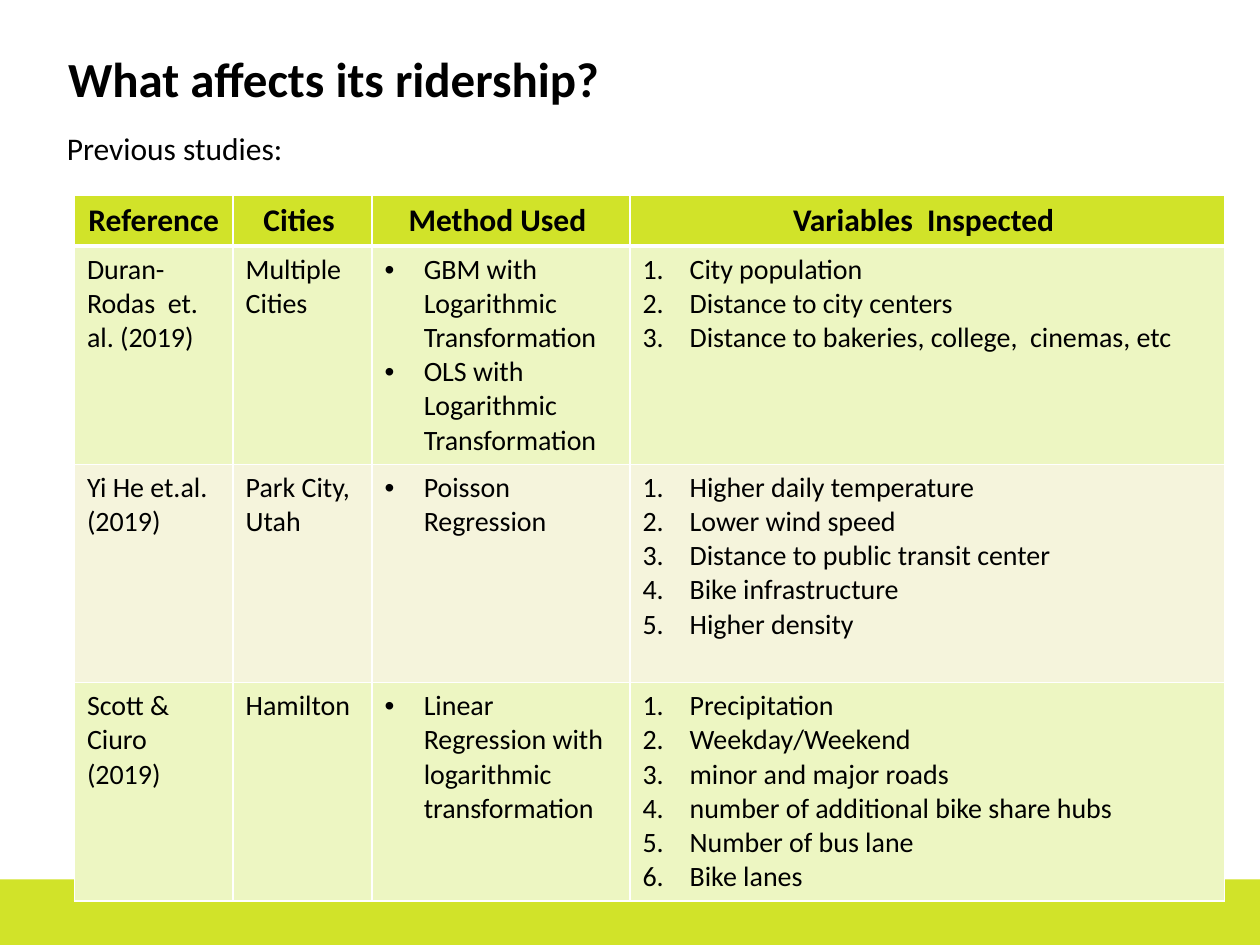
from dataclasses import dataclass

from pptx import Presentation
from pptx.dml.color import RGBColor
from pptx.enum.shapes import MSO_SHAPE as Shape
from pptx.enum.text import MSO_ANCHOR as Anchor, PP_ALIGN as Align
from pptx.oxml import parse_xml
from pptx.oxml.ns import nsdecls
from pptx.util import Cm, Pt


@dataclass(frozen=True)
class Theme:
    """Colours and type sizes of the slide."""
    font: str = "Calibri"
    text: str = "000000"
    accent: str = "D1E329"
    bands: tuple = ("EDF6C2", "F5F4DC")
    border: str = "FFFFFF"
    title_size: int = 28
    heading_size: int = 18
    body_size: int = 16


BULLET = ("Arial", '<a:buChar {} char="•"/>', 0.79)
NUMBER = ("+mj-lt", '<a:buAutoNum {} type="arabicPeriod"/>', 0.95)
COLUMN_WIDTHS = (3.2, 2.8, 5.2, 11.99)
HEADER_HEIGHT, BODY_HEIGHT = 1.0, 4.4
HEADINGS = ("Reference", "Cities ", "Method Used ", "Variables  Inspected ")
COLUMN_MARKERS = (None, None, BULLET, NUMBER)
STUDIES = (
    (["Duran-Rodas  et. al. (2019)"], ["Multiple Cities"],
     ["GBM with Logarithmic Transformation",
      "OLS with Logarithmic Transformation"],
     ["City population", "Distance to city centers",
      "Distance to bakeries, college,  cinemas, etc"]),
    (["Yi He et.al. (2019)"], ["Park City, Utah"], ["Poisson Regression"],
     ["Higher daily temperature", "Lower wind speed",
      "Distance to public transit center", "Bike infrastructure",
      "Higher density"]),
    (["Scott & Ciuro  (2019)"], ["Hamilton"],
     ["Linear Regression with logarithmic  transformation"],
     ["Precipitation", "Weekday/Weekend", "minor and major roads",
      "number of additional bike share hubs", "Number of bus lane",
      "Bike lanes"]),
)


def write(paragraph, text, *, theme, size, bold=False, align=Align.LEFT, marker=None):
    """Write formatted text into a paragraph, optionally as a list item."""
    paragraph.alignment = align
    run = paragraph.add_run()
    run.text = text
    run.font.name = theme.font
    run.font.size = Pt(size)
    run.font.bold = bold
    run.font.color.rgb = RGBColor.from_string(theme.text)
    if marker:
        typeface, xml, indent = marker
        properties = paragraph._p.get_or_add_pPr()
        properties.set("marL", str(Cm(indent)))
        properties.set("indent", str(-Cm(indent)))
        properties.append(parse_xml(f'<a:buFont {nsdecls("a")} typeface="{typeface}"/>'))
        properties.append(parse_xml(xml.format(nsdecls("a"))))


class SlideBuilder:
    """Hold the theme and the current slide, and add elements to it."""

    def __init__(self, slide, theme):
        """Keep the slide and its theme."""
        self.slide = slide
        self.theme = theme

    def band(self, left, top, width, height):
        """Add a plain accent band behind the other elements."""
        shape = self.slide.shapes.add_shape(
            Shape.RECTANGLE, Cm(left), Cm(top), Cm(width), Cm(height))
        shape.shadow.inherit = False
        shape.fill.solid()
        shape.fill.fore_color.rgb = RGBColor.from_string(self.theme.accent)
        shape.line.fill.background()

    def title(self, text, left, top, width, height):
        """Place and format the title placeholder."""
        title = self.slide.shapes.title
        title.left, title.top = Cm(left), Cm(top)
        title.width, title.height = Cm(width), Cm(height)
        title.text_frame.vertical_anchor = Anchor.MIDDLE
        write(title.text_frame.paragraphs[0], text, theme=self.theme,
              size=self.theme.title_size, bold=True)

    def label(self, text, left, top, width, height):
        """Add a single-line text box."""
        box = self.slide.shapes.add_textbox(Cm(left), Cm(top), Cm(width), Cm(height))
        box.text_frame.word_wrap = False
        write(box.text_frame.paragraphs[0], text, theme=self.theme,
              size=self.theme.heading_size)

    def cell(self, cell, lines, fill, bottom=1, **style):
        """Fill a table cell with paragraphs, a colour and borders."""
        frame = cell.text_frame
        for index, line in enumerate(lines):
            paragraph = frame.add_paragraph() if index else frame.paragraphs[0]
            write(paragraph, line, theme=self.theme, **style)
        properties = cell._tc.get_or_add_tcPr()
        for side, width in (("L", 1), ("R", 1), ("T", 1), ("B", bottom)):
            properties.append(parse_xml(
                f'<a:ln{side} {nsdecls("a")} w="{Pt(width)}"><a:solidFill>'
                f'<a:srgbClr val="{self.theme.border}"/></a:solidFill></a:ln{side}>'))
        cell.fill.solid()
        cell.fill.fore_color.rgb = RGBColor.from_string(fill)

    def table(self, headings, rows, left, top):
        """Add the table with a heading row and alternating body rows."""
        heights = [HEADER_HEIGHT] + [BODY_HEIGHT] * len(rows)
        table = self.slide.shapes.add_table(
            len(heights), len(headings), Cm(left), Cm(top),
            Cm(sum(COLUMN_WIDTHS)), Cm(sum(heights))).table
        for column, width in zip(table.columns, COLUMN_WIDTHS):
            column.width = Cm(width)
        for row, height in zip(table.rows, heights):
            row.height = Cm(height)
        for column, heading in enumerate(headings):
            self.cell(table.cell(0, column), [heading], self.theme.accent, bottom=3,
                      size=self.theme.heading_size, bold=True, align=Align.CENTER)
        for index, row in enumerate(rows):
            fill = self.theme.bands[index % len(self.theme.bands)]
            for column, lines in enumerate(row):
                self.cell(table.cell(index + 1, column), lines, fill,
                          size=self.theme.body_size, marker=COLUMN_MARKERS[column])


def main():
    """Build and save the presentation."""
    presentation = Presentation()
    presentation.slide_width, presentation.slide_height = Cm(25.4), Cm(19.05)
    slide = presentation.slides.add_slide(presentation.slide_layouts[5])
    builder = SlideBuilder(slide, Theme())
    builder.band(0, 17.73, 25.4, 1.32)
    builder.title("What affects its ridership?", 1.12, 0.69, 22.86, 1.75)
    builder.table(HEADINGS, STUDIES, 1.5, 3.93)
    builder.label("Previous studies:", 1.1, 2.47, 5.05, 1.02)
    presentation.save("out.pptx")


if __name__ == "__main__":
    main()
